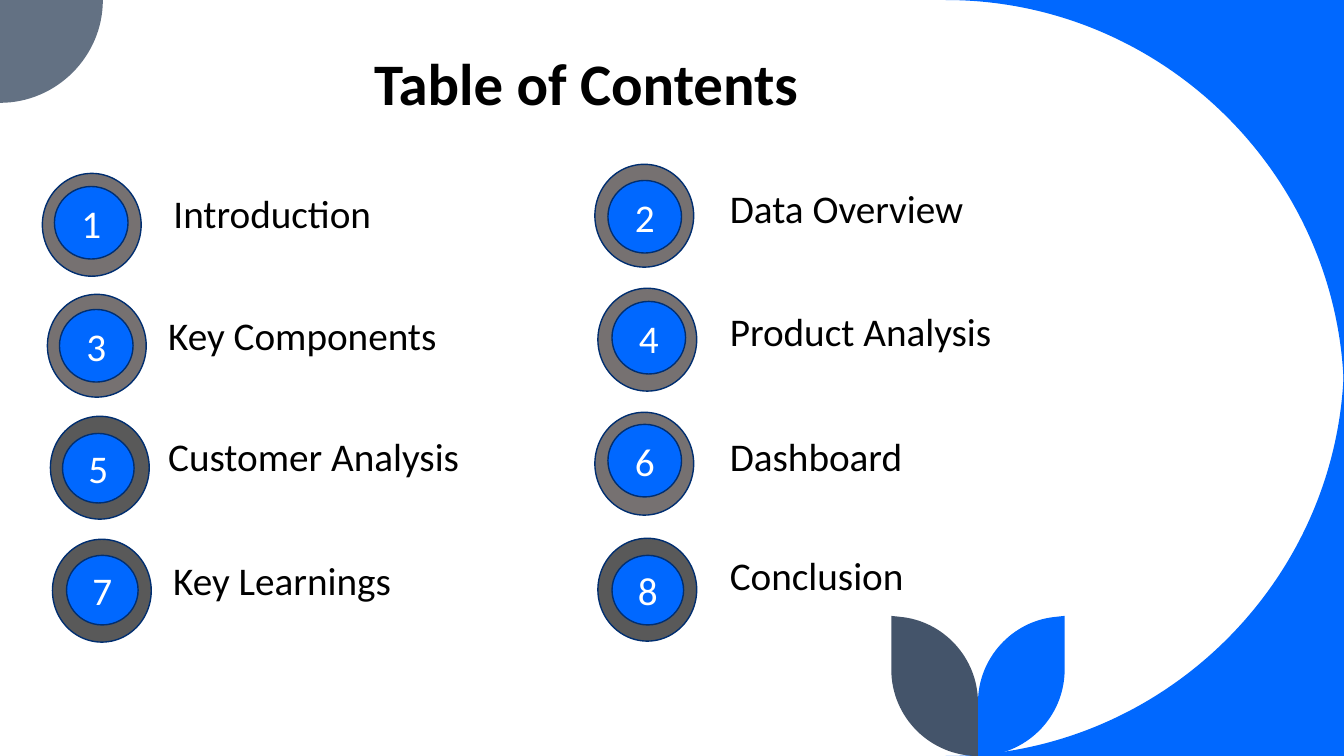
from dataclasses import dataclass

from pptx import Presentation
from pptx.dml.color import RGBColor
from pptx.enum.shapes import MSO_SHAPE as SHAPE
from pptx.enum.text import MSO_ANCHOR as ANCHOR, MSO_AUTO_SIZE as FIT, PP_ALIGN as ALIGN
from pptx.oxml.ns import qn
from pptx.util import Emu, Inches, Pt


@dataclass(frozen=True)
class Theme:
    font: str = "Calibri"
    title_size: int = 42
    text_size: int = 28
    text: str = "000000"
    number: str = "FFFFFF"
    blue: str = "0068FF"
    outline: str = "002E70"
    ring: str = "767171"
    dark_ring: str = "595959"
    corner: str = "637183"
    slate: str = "44546A"


@dataclass(frozen=True)
class Column:
    ring_tops: tuple
    label_tops: tuple


THEME = Theme()
WIDTH, HEIGHT = 13.33, 7.5
RING = (0.98, 1.02)
DISC, SMALL_DISC = (0.73, 0.72), (0.71, 0.69)
COLUMNS = (
    Column((1.72, 2.92, 4.13, 5.35), (1.88, 3.09, 4.29, 5.52)),
    Column((1.63, 2.86, 4.09, 5.34), (1.83, 3.05, 4.29, 5.47)),
)
# label, ring left, disc offset in ring, label left, dark ring
TOPICS = (
    ("Introduction", 0.42, (0.12, 0.13), 1.62, False),
    ("Data Overview", 5.9, (0.13, 0.16), 7.14, False),
    ("Key Components", 0.47, (0.12, 0.15), 1.57, False),
    ("Product Analysis", 5.93, (0.14, 0.13), 7.14, False),
    ("Customer Analysis", 0.5, (0.12, 0.17), 1.57, True),
    ("Dashboard", 5.9, (0.13, 0.12), 7.14, False),
    ("Key Learnings", 0.52, (0.14, 0.16), 1.62, True),
    ("Conclusion", 5.93, (0.14, 0.17), 7.14, True),
)


def paint(s, fill, line=None):
    s.shadow.inherit = False
    s.fill.solid()
    s.fill.fore_color.rgb = RGBColor.from_string(fill)
    if line:
        s.line.color.rgb = RGBColor.from_string(line)
        s.line.width = Pt(1)
    else:
        s.line.fill.background()


def place(s, left, top, width, height):
    s.left, s.top, s.width, s.height = map(Inches, (left, top, width, height))


def write(tf, text, size, color, align=ALIGN.LEFT, anchor=ANCHOR.TOP, bold=False):
    tf.word_wrap = True
    tf.auto_size = FIT.NONE
    tf.vertical_anchor = anchor
    p = tf.paragraphs[0]
    p.alignment = align
    r = p.add_run()
    r.text = text
    r.font.name, r.font.size, r.font.bold = THEME.font, Pt(size), bold
    r.font.color.rgb = RGBColor.from_string(color)
    return p


def add_outline(slide, start, segments, fill):
    """Draw a closed outline; a segment holds one point (line) or three (Bezier curve)."""
    points = [(Inches(x), Inches(y)) for segment in segments for x, y in segment]
    builder = slide.shapes.build_freeform(*map(Inches, start))
    builder.add_line_segments(points, close=True)
    s = builder.convert_to_shape()
    paint(s, fill)
    lines = iter(list(s._element.iter(qn("a:lnTo"))))
    for segment in segments:
        line = next(lines)
        if len(segment) == 3:
            line.tag = qn("a:cubicBezTo")
            for _ in range(2):
                extra = next(lines)
                line.append(extra[0])
                extra.getparent().remove(extra)


def add_quarter(slide, corner, center, fill):
    """Fill the part of a corner that lies outside a quarter circle."""
    (x, y), (cx, cy) = corner, center
    k = 0.55
    arc = ((cx + k * (x - cx), y), (x, cy + k * (y - cy)), (x, cy))
    add_outline(slide, corner, [((cx, y),), arc], fill)


def add_petal(slide, stem, side, fill):
    """Draw a leaf on the left (-1) or right (1) of the stem."""
    segments = (
        ((0.86, 6.64),),
        ((0.86, 7.12), (0.47, HEIGHT), (0, HEIGHT)),
        ((0, 6.97),),
        ((0, 6.53), (0.34, 6.16), (0.77, 6.12)),
    )
    mirrored = [[(stem + side * dx, y) for dx, y in segment] for segment in segments]
    add_outline(slide, (stem + side * 0.86, 6.11), mirrored, fill)


def add_decoration(slide):
    radius = 3.95
    for edge, center_y in ((0, radius), (HEIGHT, HEIGHT - radius)):
        add_quarter(slide, (WIDTH, edge), (WIDTH - radius, center_y), THEME.blue)
    r, k = 1.02, 0.56
    add_outline(slide, (0, 0), [((r, 0),), ((r, k), (k, r), (0, r))], THEME.corner)
    add_petal(slide, 9.7, 1, THEME.blue)
    add_petal(slide, 9.7, -1, THEME.slate)


def add_circle(slide, left, top, size, fill):
    s = slide.shapes.add_shape(SHAPE.FLOWCHART_CONNECTOR,
                               *map(Inches, (left, top, *size)))
    paint(s, fill, THEME.outline)
    return s


def add_marker(slide, number, left, top, offset, dark):
    dx, dy = offset
    add_circle(slide, left, top, RING, THEME.dark_ring if dark else THEME.ring)
    disc = add_circle(slide, left + dx, top + dy, SMALL_DISC if dark else DISC, THEME.blue)
    write(disc.text_frame, str(number), THEME.text_size, THEME.number,
          ALIGN.CENTER, ANCHOR.MIDDLE)


def write_label(s, text, left, top, width):
    place(s, left, top, width, 0.72)
    p = write(s.text_frame, text, THEME.text_size, THEME.text)
    p.line_spacing, p.space_before = 0.9, Pt(10)
    pPr = p._p.get_or_add_pPr()
    pPr.set("marL", "0")
    pPr.set("indent", "0")
    pPr.append(pPr.makeelement(qn("a:buNone"), {}))


def add_title(slide):
    s = slide.shapes.title
    place(s, 3.61, 0, 5.68, 1.91)
    p = write(s.text_frame, "Table of Contents", THEME.title_size, THEME.text,
              anchor=ANCHOR.BOTTOM, bold=True)
    p.line_spacing = 0.8
    s.text_frame.margin_bottom = Inches(0.75)


def add_topics(slide):
    for i, (label, ring_left, offset, label_left, dark) in enumerate(TOPICS):
        row, side = divmod(i, len(COLUMNS))
        col = COLUMNS[side]
        add_marker(slide, i + 1, ring_left, col.ring_tops[row], offset, dark)
        s = slide.placeholders[1] if i == 0 else slide.shapes.add_textbox(*[Emu(0)] * 4)
        write_label(s, label, label_left, col.label_tops[row], 3.22 if row < 2 else 3.46)


def main():
    prs = Presentation()
    prs.slide_width, prs.slide_height = Inches(WIDTH), Inches(HEIGHT)
    slide = prs.slides.add_slide(prs.slide_layouts[1])
    add_decoration(slide)
    add_title(slide)
    add_topics(slide)
    prs.save("out.pptx")


if __name__ == "__main__":
    main()
